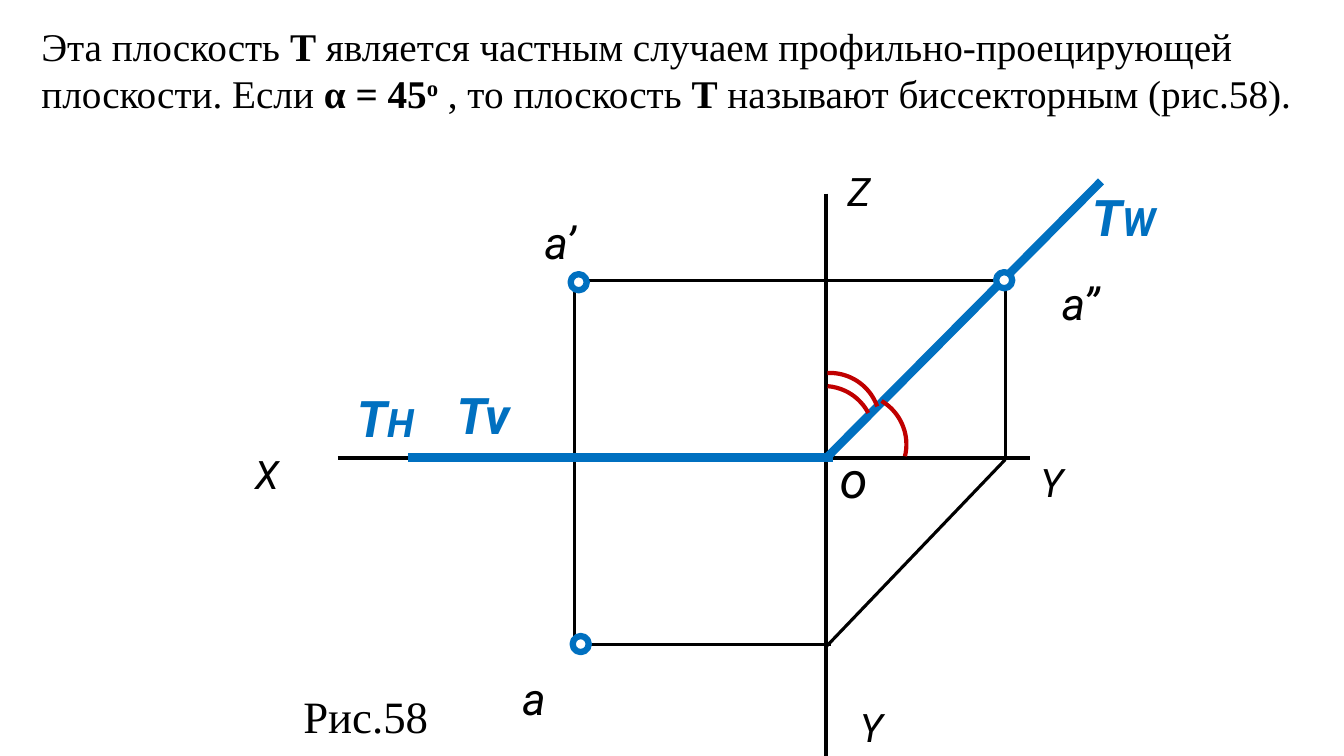
from dataclasses import dataclass

import lxml.etree
import pptx
import pptx.dml.color
import pptx.enum.shapes
import pptx.enum.text
import pptx.oxml.ns
import pptx.util

Inches = pptx.util.Inches
Shape = pptx.enum.shapes.MSO_SHAPE


@dataclass(frozen=True)
class Theme:
    black: str = "000000"
    white: str = "FFFFFF"
    trace: str = "0070C0"
    angle: str = "C00000"
    text_font: str = "Times New Roman"
    label_font: str = "Roboto"
    body: float = 28
    axis: float = 28
    point: float = 32
    large: float = 36
    thin: float = 2.25
    medium: float = 3
    ring: float = 4.5
    thick: float = 6


THEME = Theme()


@dataclass(frozen=True)
class Segment:
    start: tuple[float, float]
    end: tuple[float, float]
    color: str = THEME.black
    width: float = THEME.thin


@dataclass(frozen=True)
class AngleArc:
    left: float
    top: float
    rotation: float
    start: float
    end: float


@dataclass(frozen=True)
class Label:
    text: str
    left: float
    top: float
    width: float
    height: float
    size: float
    color: str = THEME.black
    bold: bool = False
    italic: bool = True
    font: str = THEME.label_font
    small_suffix: str = ""
    wrap: bool = True


ORIGIN_X, ORIGIN_Y = 8.19, 4.54
LEFT_X, RIGHT_X = 5.7, 9.97
TOP_Y, BOTTOM_Y = 2.78, 6.39
POINT_SIZE, ARC_SIZE = 0.16, 1

STATEMENT = [
    ("Эта плоскость ", False),
    ("Т ", True),
    ("является частным случаем профильно-проецирующей плоскости. Если ", False),
    ("α = 45", True),
    ("o", True),
    (" , то плоскость ", False),
    ("Т ", True),
    ("называют биссекторным (рис.58).", False),
]
SUPERSCRIPT = "o"

AXES_AND_PROJECTIONS = [
    Segment((3.35, ORIGIN_Y), (10.22, ORIGIN_Y), width=THEME.medium),
    Segment((ORIGIN_X, 1.92), (ORIGIN_X, 7.5), width=THEME.medium),
    Segment((8.24, BOTTOM_Y), (5.76, BOTTOM_Y)),
    Segment((RIGHT_X, 4.52), (RIGHT_X, TOP_Y)),
    Segment((9.95, TOP_Y), (LEFT_X, TOP_Y)),
    Segment((LEFT_X, 6.37), (LEFT_X, TOP_Y)),
    Segment((ORIGIN_X, 6.42), (RIGHT_X, 4.56)),
]
PLANE_TRACES = [
    Segment((10.92, 1.8), (8.2, ORIGIN_Y), THEME.trace, THEME.thick),
    Segment((8.26, ORIGIN_Y), (4.05, ORIGIN_Y), THEME.trace, THEME.thick),
]
POINTS = [(5.68, 6.31), (5.66, 2.72), (9.88, 2.7)]
ANGLE_ARCS = [
    AngleArc(7.67, 3.83, 355.2, 279.28, 337.05),
    AngleArc(7.73, 3.7, 355.2, 272.2, 345.26),
    AngleArc(7.99, 3.91, 28.3, 272.2, 345.26),
]
LABELS = [
    Label("X", 2.43, 4.42, 0.43, 0.57, THEME.axis),
    Label("Y", 10.22, 4.5, 0.43, 0.57, THEME.axis),
    Label("Y", 8.43, 6.93, 0.43, 0.57, THEME.axis),
    Label("Z", 8.31, 1.61, 0.43, 0.57, THEME.axis),
    Label("o", 8.23, 4.4, 0.43, 0.71, THEME.large),
    Label("a’’", 10.43, 2.69, 0.79, 0.64, THEME.point),
    Label("a’", 5.3, 2.08, 0.6, 0.64, THEME.point),
    Label("a", 5.08, 6.61, 0.83, 0.64, THEME.point),
    Label("T", 10.73, 1.8, 1.18, 0.71, THEME.large, THEME.trace, True, small_suffix="W"),
    Label("T", 3.44, 3.79, 0.92, 0.71, THEME.large, THEME.trace, True, small_suffix="H"),
    Label("Tv", 4.43, 3.76, 0.81, 0.71, THEME.large, THEME.trace, True),
    Label("Рис.58", 2.91, 6.78, 1.45, 0.64, THEME.point, italic=False,
          font=THEME.text_font, wrap=False),
]


def rgb(color: str) -> pptx.dml.color.RGBColor:
    return pptx.dml.color.RGBColor.from_string(color)


def add_text(paragraph, text: str, *, font: str, size: float, color: str = THEME.black,
             bold: bool = False, italic: bool = False, superscript: bool = False) -> None:
    run = paragraph.add_run()
    run.text = text
    run.font.name = font
    run.font.size = pptx.util.Pt(size)
    run.font.bold = bold
    run.font.italic = italic
    run.font.color.rgb = rgb(color)
    if superscript:
        run._r.get_or_add_rPr().set("baseline", "30000")


def add_statement(slide) -> None:
    title = slide.shapes.title
    title.left, title.top = Inches(0.31), Inches(0.17)
    title.width, title.height = Inches(13.02), Inches(1.04)
    frame = title.text_frame
    frame.word_wrap = True
    frame.auto_size = pptx.enum.text.MSO_AUTO_SIZE.SHAPE_TO_FIT_TEXT
    frame.vertical_anchor = pptx.enum.text.MSO_ANCHOR.TOP
    paragraph = frame.paragraphs[0]
    paragraph.alignment = pptx.enum.text.PP_ALIGN.LEFT
    for text, bold in STATEMENT:
        add_text(paragraph, text, font=THEME.text_font, size=THEME.body, bold=bold,
                 superscript=text == SUPERSCRIPT)


def add_segment(slide, segment: Segment) -> None:
    line = slide.shapes.add_connector(
        pptx.enum.shapes.MSO_CONNECTOR.STRAIGHT,
        *(Inches(value) for value in segment.start + segment.end))
    line.line.color.rgb = rgb(segment.color)
    line.line.width = pptx.util.Pt(segment.width)
    lxml.etree.SubElement(line._element.spPr, pptx.oxml.ns.qn("a:effectLst"))


def add_outlined(slide, kind: Shape, left: float, top: float, size: float,
                 color: str, width: float):
    shape = slide.shapes.add_shape(
        kind, Inches(left), Inches(top), Inches(size), Inches(size))
    shape.shadow.inherit = False
    shape.line.color.rgb = rgb(color)
    shape.line.width = pptx.util.Pt(width)
    return shape


def add_point(slide, left: float, top: float) -> None:
    point = add_outlined(slide, Shape.OVAL, left, top, POINT_SIZE, THEME.trace, THEME.ring)
    point.fill.solid()
    point.fill.fore_color.rgb = rgb(THEME.white)


def add_angle_arc(slide, arc: AngleArc) -> None:
    """Draw an arc; its adjustments count 0.6 per degree."""
    shape = add_outlined(slide, Shape.ARC, arc.left, arc.top, ARC_SIZE,
                         THEME.angle, THEME.medium)
    shape.fill.background()
    shape.rotation = arc.rotation
    shape.adjustments[0] = arc.start * 0.6
    shape.adjustments[1] = arc.end * 0.6


def add_label(slide, label: Label) -> None:
    box = slide.shapes.add_textbox(Inches(label.left), Inches(label.top),
                                   Inches(label.width), Inches(label.height))
    frame = box.text_frame
    frame.word_wrap = label.wrap
    frame.auto_size = pptx.enum.text.MSO_AUTO_SIZE.SHAPE_TO_FIT_TEXT
    for text, size in ((label.text, label.size), (label.small_suffix, THEME.axis)):
        if text:
            add_text(frame.paragraphs[0], text, font=label.font, size=size,
                     color=label.color, bold=label.bold, italic=label.italic)


def main() -> None:
    deck = pptx.Presentation()
    deck.slide_width, deck.slide_height = Inches(13.33), Inches(7.5)
    slide = deck.slides.add_slide(deck.slide_layouts[5])
    add_statement(slide)
    for segment in AXES_AND_PROJECTIONS + PLANE_TRACES:
        add_segment(slide, segment)
    for left, top in POINTS:
        add_point(slide, left, top)
    for arc in ANGLE_ARCS:
        add_angle_arc(slide, arc)
    for label in LABELS:
        add_label(slide, label)
    deck.save("out.pptx")


if __name__ == "__main__":
    main()
